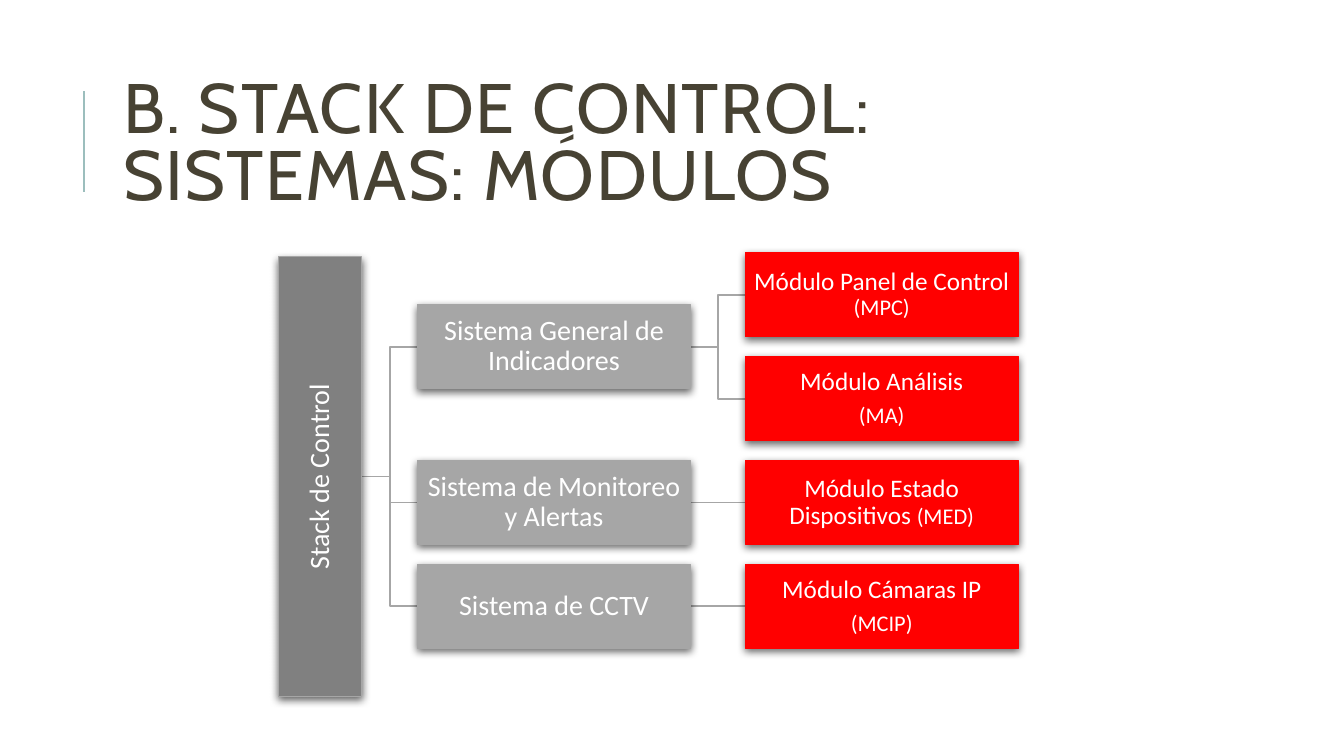
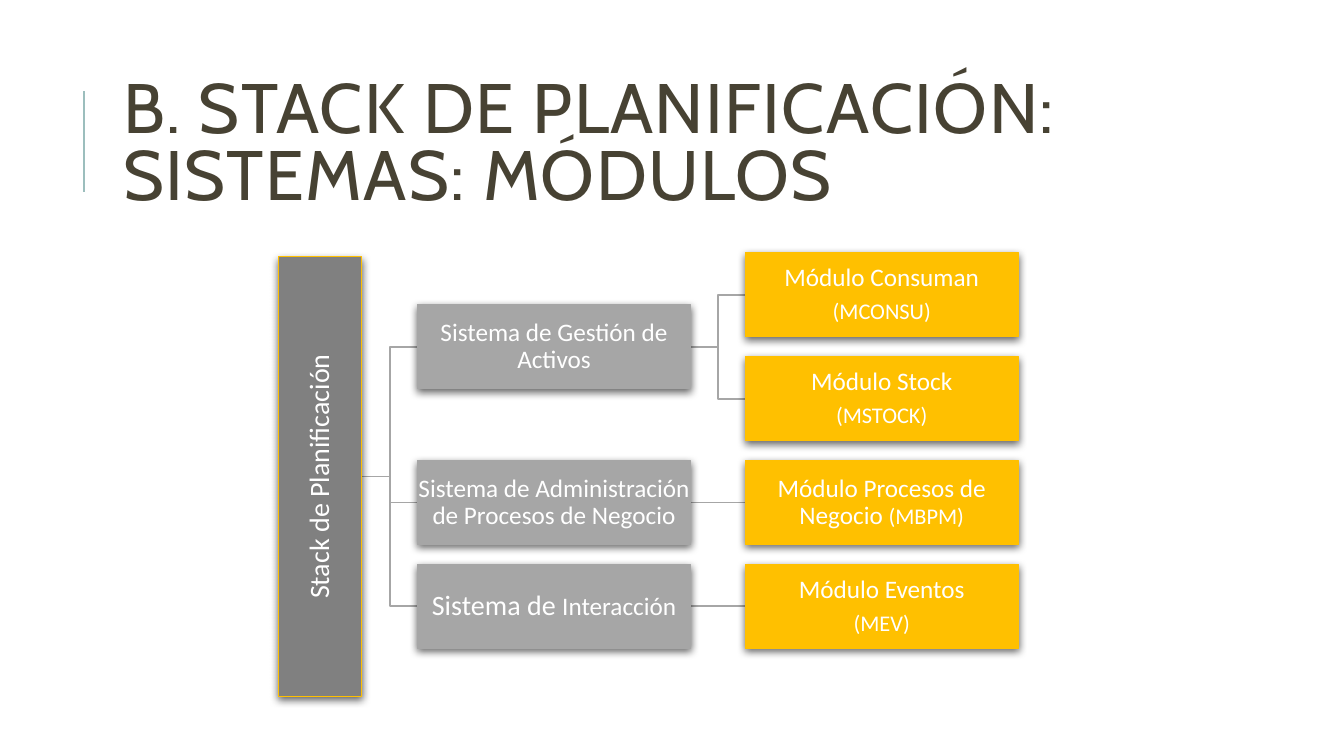
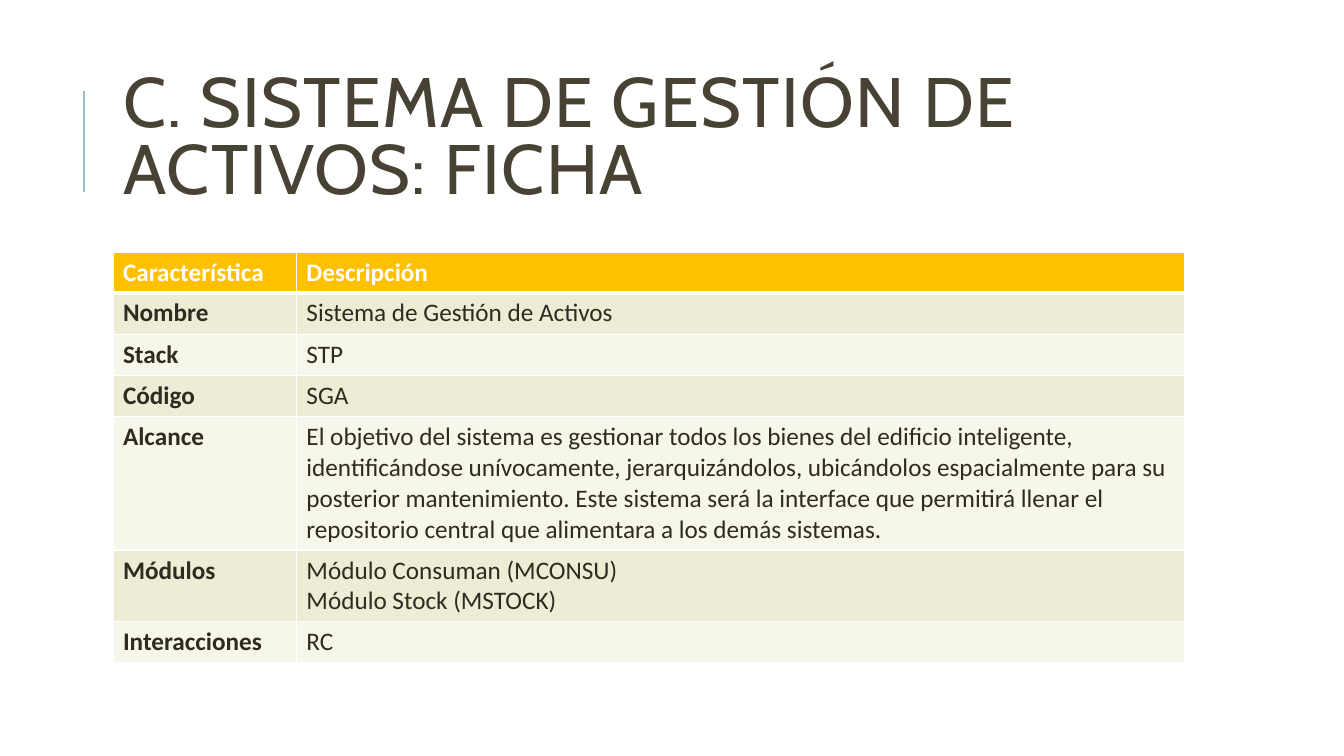
import pptx
import pptx.dml.color
import pptx.enum.shapes
import pptx.enum.text
import pptx.oxml
import pptx.oxml.ns
import pptx.util

Inches = pptx.util.Inches
Pt = pptx.util.Pt
RGBColor = pptx.dml.color.RGBColor
ALIGN = pptx.enum.text.PP_ALIGN
MIDDLE = pptx.enum.text.MSO_ANCHOR.MIDDLE
LINK = pptx.enum.shapes.MSO_CONNECTOR
RECT = pptx.enum.shapes.MSO_SHAPE.RECTANGLE
NS = pptx.oxml.ns.nsdecls("a")

WHITE = RGBColor(0xFF, 0xFF, 0xFF)
BROWN = RGBColor(0x47, 0x42, 0x33)
INK = RGBColor(0x2E, 0x2B, 0x21)
TEAL = RGBColor(0x9C, 0xBE, 0xBD)
DARK = RGBColor(0x80, 0x80, 0x80)
GRAY = RGBColor(0xA6, 0xA6, 0xA6)
RED = RGBColor(0xFF, 0x00, 0x00)
GOLD = RGBColor(0xFF, 0xC0, 0x00)
SAND = RGBColor(0xEE, 0xEC, 0xD4)
CREAM = RGBColor(0xF7, 0xF6, 0xEB)

BOX_W, BOX_H, BAR_LEN = 2.71, 0.83, 4.36
BAR_X, SYS_X, MOD_X = 2.76, 4.14, 7.39
TOP, STEP = 2.51, 1.03

TITLE_FONT = {"name": "Cabin", "size": Pt(50), "bold": False}
TITLE_FRAME = {"word_wrap": True, "vertical_anchor": MIDDLE,
               "auto_size": pptx.enum.text.MSO_AUTO_SIZE.NONE}
BOX_FRAME = {"word_wrap": True, "vertical_anchor": MIDDLE}
BOX_FRAME.update({"margin_" + side: Inches(0.01)
                  for side in ("left", "top", "right", "bottom")})


def put(thing, values):
    """Set each attribute named in values on thing."""
    for name, value in values.items():
        setattr(thing, name, value)


def place(shape, *spots):
    put(shape, dict(zip(("left", "top", "width", "height"), map(Inches, spots))))


class Deck:
    """Holds the shared style, the file and the current slide."""

    def __init__(self):
        self.file = pptx.Presentation()
        put(self.file, {"slide_width": Inches(13.33), "slide_height": Inches(7.5)})

    def start(self, title, top=0.64):
        """Open a new slide with its title and side rule."""
        self.slide = self.file.slides.add_slide(self.file.slide_layouts[5])
        self.shapes = self.slide.shapes
        self.line((0.83, 1.9), (0.83, 0.9), TEAL, 1.5)
        head = self.shapes.title
        place(head, 1.12, top, 10.63, 1.64)
        put(head.text_frame, TITLE_FRAME)
        para = head.text_frame.paragraphs[0]
        put(para, {"alignment": ALIGN.LEFT, "line_spacing": 0.8})
        run = self.run(para, title, BROWN, TITLE_FONT)
        run.font._element.set("spc", "100")

    def run(self, para, text, color, font):
        run = para.add_run()
        run.text = text
        put(run.font, font)
        run.font.color.rgb = color
        return run

    def line(self, start, end, color=GRAY, width=1.25):
        kind = LINK.STRAIGHT if start[0] == end[0] or start[1] == end[1] else LINK.ELBOW
        line = self.shapes.add_connector(kind, *map(Inches, start + end))
        line.line.color.rgb = color
        line.line.width = Pt(width)
        line._element.spPr.append(pptx.oxml.parse_xml(f"<a:effectLst {NS}/>"))

    def box(self, mid, wide, fill, edge, text, turn=0):
        """Draw a shadowed box centred on mid; text is paragraphs of (text, size) runs."""
        x, y = mid
        box = self.shapes.add_shape(RECT, *map(Inches, (
            x - wide / 2, y - BOX_H / 2, wide, BOX_H)))
        box.rotation = turn
        box.fill.solid()
        box.fill.fore_color.rgb = fill
        box.line.color.rgb = edge
        box.line.width = Pt(0.75)
        box._element.spPr.append(pptx.oxml.parse_xml(
            f'<a:effectLst {NS}><a:outerShdw blurRad="{Pt(6)}" dist="{Pt(2)}" '
            'dir="5400000" rotWithShape="0"><a:srgbClr val="000000">'
            '<a:alpha val="60000"/></a:srgbClr></a:outerShdw></a:effectLst>'))
        frame = box.text_frame
        put(frame, BOX_FRAME)
        for i, runs in enumerate(text):
            para = frame.add_paragraph() if i else frame.paragraphs[0]
            put(para, {"alignment": ALIGN.CENTER, "line_spacing": 0.9})
            if i:
                para.space_before = Pt(6)
            for words, size in runs:
                self.run(para, words, WHITE, {"name": "Calibri", "size": Pt(size)})

    def tree(self, root, edge, color, groups):
        """Draw a root bar, its systems and, right of each, its modules."""
        y, rows = TOP + BOX_H / 2, []
        for name, mods in groups:
            spots = [y + STEP * i for i in range(len(mods))]
            rows.append((sum(spots) / len(spots), name, list(zip(spots, mods))))
            y += STEP * len(mods)
        mid = (rows[0][0] + rows[-1][0]) / 2
        for row, _, mods in rows:
            self.line((BAR_X + BOX_H, mid), (SYS_X, row))
            for spot, _ in mods:
                self.line((SYS_X + BOX_W, row), (MOD_X, spot))
        self.box((BAR_X + BOX_H / 2, mid), BAR_LEN, DARK, edge, [[(root, 20)]], 270)
        for row, name, mods in rows:
            self.box((SYS_X + BOX_W / 2, row), BOX_W, GRAY, GRAY, [name])
            for spot, text in mods:
                self.box((MOD_X + BOX_W / 2, spot), BOX_W, color, color, text)

    def table(self, rows, highs):
        grid = self.shapes.add_table(len(rows), 2, *map(Inches, (
            1.12, 2.5, 10.63, sum(highs)))).table
        for col, wide in zip(grid.columns, (1.82, 8.81)):
            col.width = Inches(wide)
        for r, (row, high) in enumerate(zip(rows, highs)):
            grid.rows[r].height = Inches(high)
            fill = (SAND if r % 2 else CREAM) if r else GOLD
            for c, text in enumerate(row):
                cell = grid.cell(r, c)
                edges = {"L": 1, "R": 1, "T": 3 if r == 1 else 1, "B": 1 if r else 3}
                self.trim(cell, edges)
                cell.fill.solid()
                cell.fill.fore_color.rgb = fill
                font = {"name": "Calibri", "size": Pt(18), "bold": r == 0 or c == 0}
                for i, words in enumerate(text.split("\n")):
                    frame = cell.text_frame
                    para = frame.add_paragraph() if i else frame.paragraphs[0]
                    self.run(para, words, INK if r else WHITE, font)

    def trim(self, cell, edges):
        """Give the cell white borders of the widths in edges."""
        props = cell._tc.get_or_add_tcPr()
        for side, width in edges.items():
            props.append(pptx.oxml.parse_xml(
                f'<a:ln{side} {NS} w="{Pt(width)}"><a:solidFill>'
                f'<a:srgbClr val="{WHITE}"/></a:solidFill></a:ln{side}>'))


def pair(name, code):
    """Module text with its code on a paragraph of its own."""
    return [[(name, 18)], [(code, 16)]]


def flow(name, code):
    """Module text with its code in the same paragraph."""
    return [[(name + " ", 18), (code, 16)]]


def main():
    deck = Deck()

    deck.start("B. STACK DE CONTROL: SISTEMAS: MÓDULOS")
    deck.tree("Stack de Control", GRAY, RED, [
        ([("Sistema General de Indicadores", 20)],
         [flow("Módulo Panel de Control", "(MPC)"), pair("Módulo Análisis", "(MA)")]),
        ([("Sistema de Monitoreo y Alertas", 20)],
         [flow("Módulo Estado Dispositivos", "(MED)")]),
        ([("Sistema de CCTV", 20)], [pair("Módulo Cámaras IP", "(MCIP)")]),
    ])

    deck.start("B. STACK DE PLANIFICACIÓN: SISTEMAS: MÓDULOS")
    deck.tree("Stack de Planificación", GOLD, GOLD, [
        ([("Sistema de Gestión de Activos", 18)],
         [pair("Módulo Consuman", "(MCONSU)"), pair("Módulo Stock", "(MSTOCK)")]),
        ([("Sistema de Administración de Procesos de Negocio", 18)],
         [flow("Módulo Procesos de Negocio", "(MBPM)")]),
        ([("Sistema de ", 20), ("Interacción", 18)], [pair("Módulo Eventos", "(MEV)")]),
    ])

    deck.start("C. SISTEMA DE GESTIÓN DE ACTIVOS: FICHA", 0.58)
    deck.table([
        ("Característica", "Descripción"),
        ("Nombre", "Sistema de Gestión de Activos"),
        ("Stack", "STP"),
        ("Código", "SGA"),
        ("Alcance", "El objetivo del sistema es gestionar todos los bienes del edificio "
         "inteligente, identificándose unívocamente, jerarquizándolos, ubicándolos "
         "espacialmente para su posterior mantenimiento. Este sistema será la interface "
         "que permitirá llenar el repositorio central que alimentara a los demás sistemas."),
        ("Módulos", "Módulo Consuman (MCONSU)\nMódulo Stock (MSTOCK)"),
        ("Interacciones", "RC"),
    ], (0.4, 0.41, 0.41, 0.41, 1.32, 0.71, 0.41))

    deck.file.save("out.pptx")


if __name__ == "__main__":
    main()
